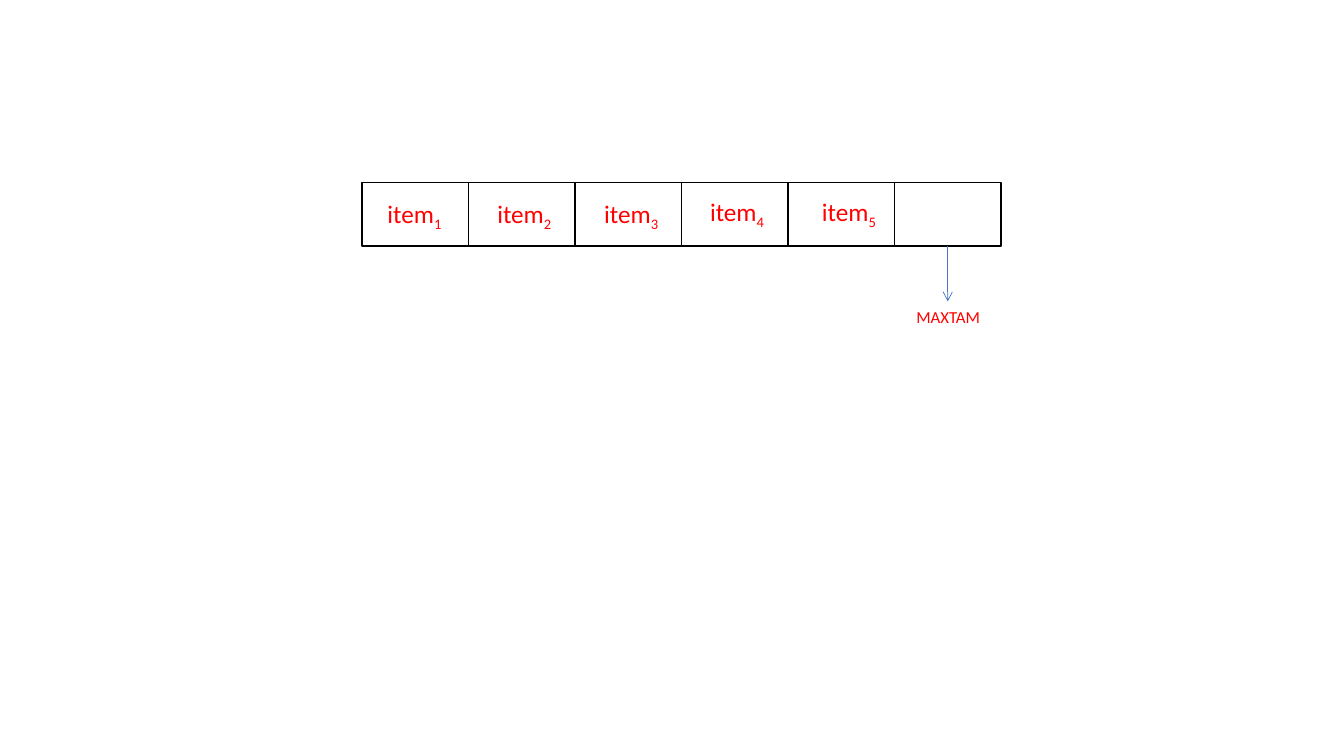
from dataclasses import dataclass

from lxml.etree import SubElement
from pptx import Presentation
from pptx.dml.color import RGBColor
from pptx.enum.shapes import MSO_CONNECTOR, MSO_SHAPE
from pptx.enum.text import MSO_AUTO_SIZE, PP_ALIGN
from pptx.oxml.ns import qn
from pptx.slide import Slide
from pptx.text.text import _Paragraph as Para
from pptx.util import Inches, Pt


@dataclass(frozen=True)
class Theme:
    """Colours, font and sizes of the slide."""
    font: str = "Calibri"
    text: RGBColor = RGBColor(0xFF, 0x00, 0x00)
    edge: RGBColor = RGBColor(0x00, 0x00, 0x00)
    arrow: RGBColor = RGBColor(0x44, 0x72, 0xC4)
    item: Pt = Pt(18)
    note: Pt = Pt(12)
    border: Pt = Pt(1)
    thin: Pt = Pt(0.5)


@dataclass(frozen=True)
class Label:
    """A centred text with its box in inches and an optional subscript."""
    text: str
    left: float
    top: float
    width: float
    height: float
    size: Pt
    sub: str = ""


THEME = Theme()
CELLS = 6
LEFT, LAST, TOP = 3.59, 8.87, 1.81
WIDTH, HEIGHT = 1.06, 0.63
STEP = (LAST - LEFT) / (CELLS - 1)
BASE = TOP + HEIGHT
ARROW_X, ARROW_END = 9.4, 2.99

ITEM_SPOTS = [(3.72, 1.92), (4.81, 1.92), (5.87, 1.92), (6.92, 1.9), (8.03, 1.9)]
LABELS = [
    Label("item", left, top, 0.78, 0.4, THEME.item, str(num))
    for num, (left, top) in enumerate(ITEM_SPOTS, 1)
] + [Label("MAXTAM", 8.96, ARROW_END, 0.89, 0.3, THEME.note)]


def add_cell(slide: Slide, left: float) -> None:
    """Draw one empty cell of the array."""
    cell = slide.shapes.add_shape(
        MSO_SHAPE.RECTANGLE, Inches(left), Inches(TOP), Inches(WIDTH), Inches(HEIGHT))
    cell.shadow.inherit = False
    cell.fill.background()
    cell.line.color.rgb = THEME.edge
    cell.line.width = THEME.border


def add_run(para: Para, text: str, size: Pt, sub: bool = False) -> None:
    """Append a styled run, lowered when it is a subscript."""
    run = para.add_run()
    run.text = text
    run.font.name = THEME.font
    run.font.size = size
    run.font.color.rgb = THEME.text
    if sub:
        run._r.get_or_add_rPr().set("baseline", "-25000")


def add_label(slide: Slide, label: Label) -> None:
    """Write a label, with its subscript if it has one."""
    box = slide.shapes.add_textbox(
        Inches(label.left), Inches(label.top), Inches(label.width), Inches(label.height))
    frame = box.text_frame
    frame.word_wrap = True
    frame.auto_size = MSO_AUTO_SIZE.SHAPE_TO_FIT_TEXT
    para = frame.paragraphs[0]
    para.alignment = PP_ALIGN.CENTER
    add_run(para, label.text, label.size)
    if label.sub:
        add_run(para, label.sub, label.size, sub=True)


def add_arrow(slide: Slide) -> None:
    """Draw the arrow from the last cell down to its label."""
    line = slide.shapes.add_connector(
        MSO_CONNECTOR.STRAIGHT, Inches(ARROW_X), Inches(BASE),
        Inches(ARROW_X), Inches(ARROW_END))
    line.line.color.rgb = THEME.arrow
    line.line.width = THEME.thin
    SubElement(line.line._get_or_add_ln(), qn("a:tailEnd"), type="arrow")
    SubElement(line._element.spPr, qn("a:effectLst"))


def main() -> None:
    """Build and save the slide."""
    deck = Presentation()
    deck.slide_width, deck.slide_height = Inches(13.33), Inches(7.5)
    slide = deck.slides.add_slide(deck.slide_layouts[6])
    for col in range(CELLS):
        add_cell(slide, LEFT + col * STEP)
    add_arrow(slide)
    for label in LABELS:
        add_label(slide, label)
    deck.save("out.pptx")


main()
